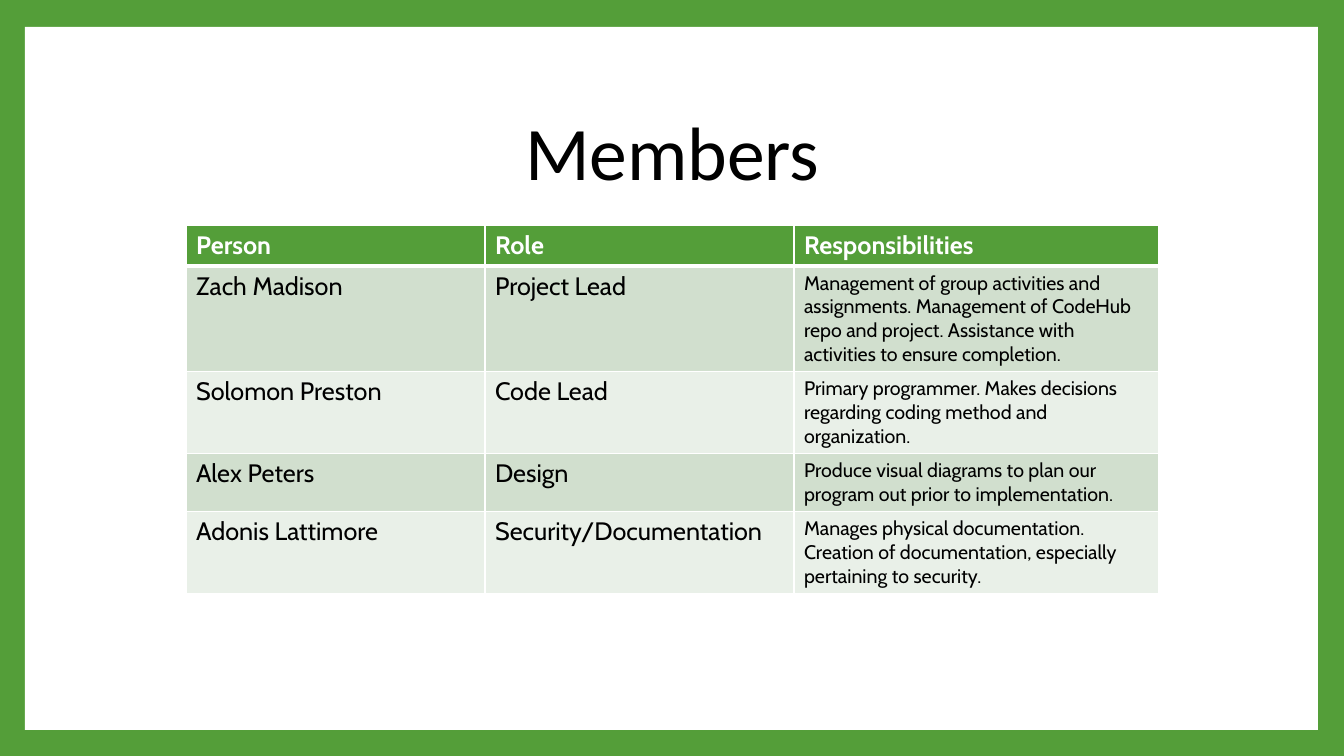
from dataclasses import dataclass

from lxml import etree
from pptx import Presentation
from pptx.dml.color import RGBColor
from pptx.enum.shapes import MSO_SHAPE
from pptx.enum.text import MSO_ANCHOR, MSO_AUTO_SIZE, PP_ALIGN
from pptx.oxml.ns import qn
from pptx.util import Emu, Pt

RECTANGLE = MSO_SHAPE.RECTANGLE
MIDDLE = MSO_ANCHOR.MIDDLE
CENTER = PP_ALIGN.CENTER
GROW = MSO_AUTO_SIZE.SHAPE_TO_FIT_TEXT
EMU_PER_PX = 914400 / 100.8

COLUMN_WIDTHS = [299, 309, 365]
ROW_HEIGHTS = [41, 105, 82, 58, 80]
MEMBERS = [
    ("Person", "Role", "Responsibilities"),
    ("Zach Madison", "Project Lead",
     "Management of group activities and assignments. Management of CodeHub "
     "repo and project. Assistance with activities to ensure completion."),
    ("Solomon Preston", "Code Lead",
     "Primary programmer. Makes decisions regarding coding method and organization."),
    ("Alex Peters", "Design",
     "Produce visual diagrams to plan our program out prior to implementation."),
    ("Adonis Lattimore", "Security/Documentation",
     "Manages physical documentation. Creation of documentation, "
     "especially pertaining to security."),
]


@dataclass(frozen=True)
class Theme:
    """Colours, fonts and type sizes of the slide."""
    green: str = "549E39"
    white: str = "FFFFFF"
    black: str = "000000"
    bands: tuple = ("D1DFCE", "E9F0E8")
    title_font: str = "Calibri"
    table_font: str = "Cabin"
    title_size: int = 54
    table_size: int = 18
    detail_size: int = 14
    thin_line: int = 1
    header_line: int = 3


def px(length):
    """Turn whole pixels into EMU."""
    return Emu(round(length * EMU_PER_PX))


def fill_solid(fill, color):
    """Give a fill one solid colour."""
    fill.solid()
    fill.fore_color.rgb = RGBColor.from_string(color)


class SlideBuilder:
    """Holds the theme and the current slide."""

    def __init__(self, slide, theme):
        """Keep the slide and theme."""
        self.slide = slide
        self.theme = theme

    def background(self, color):
        """Fill the slide background."""
        fill_solid(self.slide.background.fill, color)

    def panel(self, left, top, width, height, color):
        """Add a plain rectangle without an outline."""
        shape = self.slide.shapes.add_shape(
            RECTANGLE, px(left), px(top), px(width), px(height))
        shape.shadow.inherit = False
        shape.line.fill.background()
        fill_solid(shape.fill, color)

    def text(self, frame, text, color, **font_values):
        """Write formatted text into a text frame."""
        frame.text = text
        font = frame.paragraphs[0].runs[0].font
        font.color.rgb = RGBColor.from_string(color)
        for name, value in font_values.items():
            setattr(font, name, value)

    def title(self, left, top, width, height, text):
        """Place and format the title placeholder."""
        shape = self.slide.shapes.title
        box = {"left": left, "top": top, "width": width, "height": height}
        for name, value in box.items():
            setattr(shape, name, px(value))
        frame = shape.text_frame
        self.text(frame, text, self.theme.black, name=self.theme.title_font,
                  size=Pt(self.theme.title_size))
        frame_format = {"word_wrap": True, "auto_size": GROW, "vertical_anchor": MIDDLE}
        for name, value in frame_format.items():
            setattr(frame, name, value)
        frame.paragraphs[0].alignment = CENTER

    def borders(self, cell, widths):
        """Draw white borders on the sides of a cell."""
        properties = cell._tc.get_or_add_tcPr()
        for index, (side, width) in enumerate(widths.items()):
            line = etree.Element(qn(f"a:ln{side}"), w=str(Pt(width)))
            fill = etree.SubElement(line, qn("a:solidFill"))
            etree.SubElement(fill, qn("a:srgbClr"), val=self.theme.white)
            properties.insert(index, line)

    def cell(self, cell, row, column, text):
        """Fill one table cell according to its row and column."""
        theme = self.theme
        header = row == 0
        detail = not header and column == len(COLUMN_WIDTHS) - 1
        fill_solid(cell.fill, theme.green if header else theme.bands[(row - 1) % 2])
        self.text(cell.text_frame, text, theme.white if header else theme.black,
                  name=theme.table_font, bold=header,
                  size=Pt(theme.detail_size if detail else theme.table_size))
        self.borders(cell, {
            "L": theme.thin_line,
            "R": theme.thin_line,
            "T": theme.header_line if row == 1 else theme.thin_line,
            "B": theme.header_line if header else theme.thin_line,
        })

    def table(self, left, top, widths, heights, rows):
        """Add a table with a header and banded rows."""
        table = self.slide.shapes.add_table(
            len(rows), len(widths), px(left), px(top),
            px(sum(widths)), px(sum(heights))).table
        for column, width in zip(table.columns, widths):
            column.width = px(width)
        for row, height in zip(table.rows, heights):
            row.height = px(height)
        for row, texts in enumerate(rows):
            for column, text in enumerate(texts):
                self.cell(table.cell(row, column), row, column, text)


def main():
    """Build and save the members slide."""
    theme = Theme()
    presentation = Presentation()
    presentation.slide_width = px(1344)
    presentation.slide_height = px(756)
    slide = presentation.slides.add_slide(presentation.slide_layouts[5])
    builder = SlideBuilder(slide, theme)
    builder.background(theme.green)
    builder.panel(25, 27, 1293, 703, theme.white)
    builder.table(186, 225, COLUMN_WIDTHS, ROW_HEIGHTS, MEMBERS)
    builder.title(452, 99, 441, 102, "Members")
    tree = slide.shapes.title._element.getparent()
    tree.append(slide.shapes.title._element)
    presentation.save("out.pptx")


if __name__ == "__main__":
    main()
